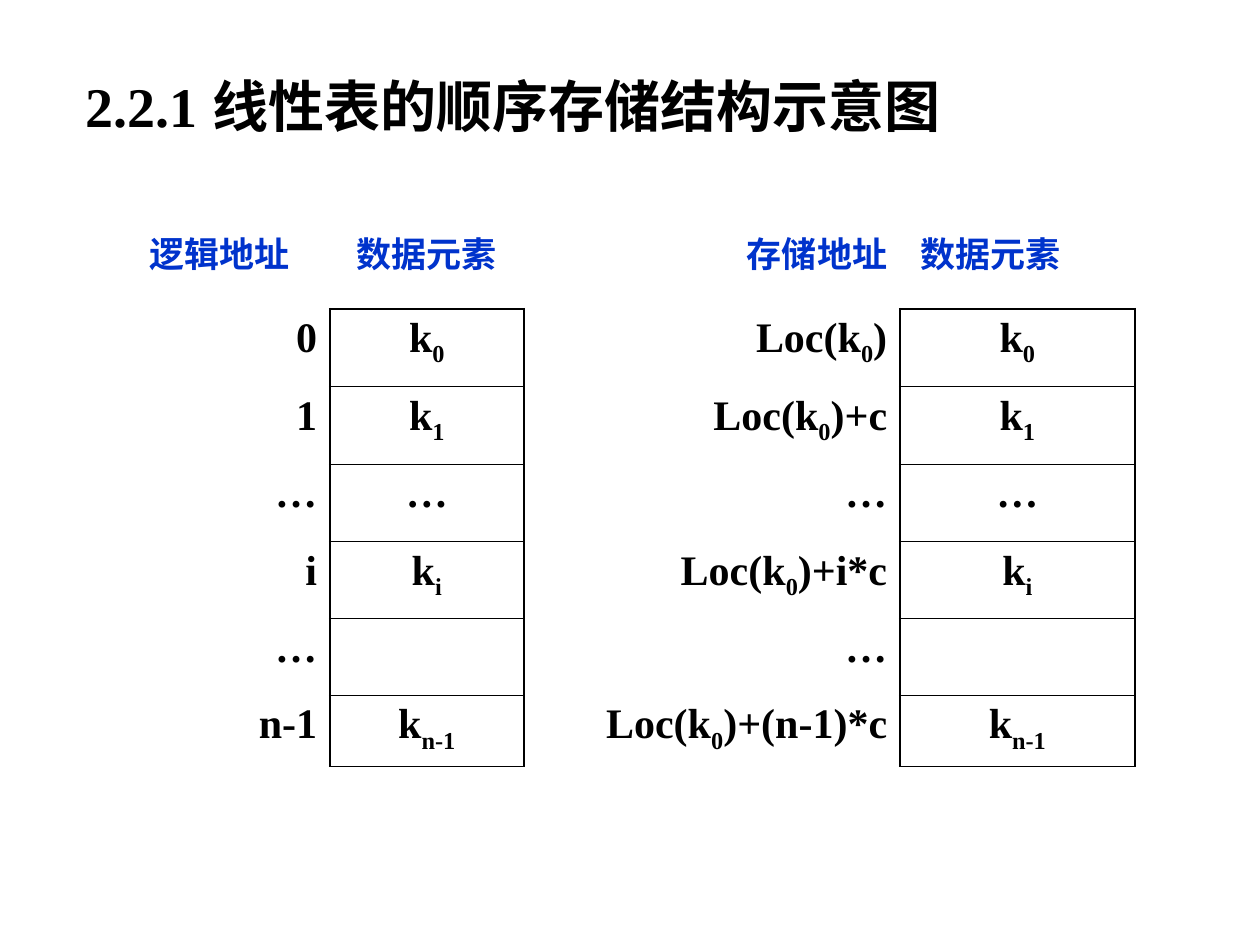
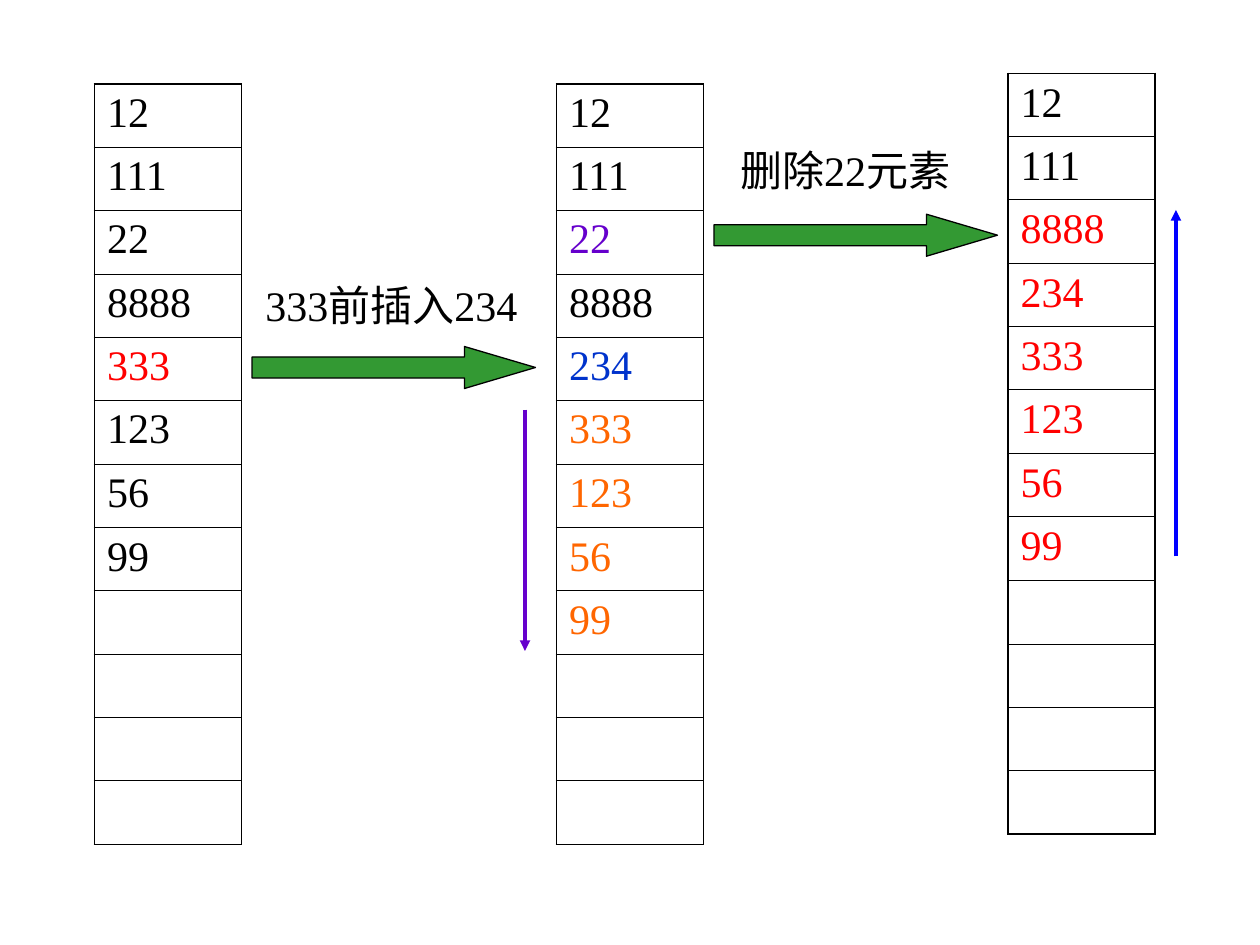
from dataclasses import dataclass
from lxml.etree import SubElement
from pptx import Presentation
from pptx.dml.color import RGBColor as Rgb
from pptx.enum.shapes import MSO_CONNECTOR as Link, MSO_SHAPE as Kind
from pptx.enum.text import MSO_ANCHOR as Anchor, PP_ALIGN as Align
from pptx.oxml.ns import qn
from pptx.util import Pt

SCALE = 7620  # EMU in one px, 120 px to the inch


@dataclass(frozen=True)
class Theme:
    latin: str = "Times New Roman"
    asian: str = "Noto Sans CJK SC"
    black: str = "000000"
    blue: str = "0033CC"
    red: str = "FF0000"
    orange: str = "FF6600"
    purple: str = "6600CC"
    bright: str = "0000FF"
    green: str = "339933"
    title: int = 32
    head: int = 20
    body: int = 24
    thick: float = 1.08
    thin: float = 0.45


THEME = Theme()


def emu(*sizes):
    return [size * SCALE for size in sizes]


def write(frame, text, size=THEME.body, color=THEME.black, bold=False,
          align=Align.LEFT, face=THEME.latin):
    """Fill a frame; the parts between underscores are subscripts."""
    para = frame.paragraphs[0]
    para.alignment = align
    for pos, part in enumerate(text.split("_")):
        if not part:
            continue
        run = para.add_run()
        run.text = part
        font = run.font
        font.size, font.bold, font.name = Pt(size), bold, face
        font.color.rgb = Rgb.from_string(color)
        props = run._r.get_or_add_rPr()
        SubElement(props, qn("a:ea"), typeface=THEME.asian)
        if pos % 2:
            props.set("baseline", "-25000")


def label(slide, box, text, **style):
    frame = slide.shapes.add_textbox(*emu(*box)).text_frame
    frame.word_wrap = True
    write(frame, text, **style)
    return frame


def border(cell, widths):
    props = cell._tc.get_or_add_tcPr()
    for side, width in zip("LRTB", widths):
        line = SubElement(props, qn(f"a:ln{side}"), w=str(Pt(width)))
        if width:
            fill = SubElement(line, qn("a:solidFill"))
            SubElement(fill, qn("a:srgbClr"), val=THEME.black)
        else:
            SubElement(line, qn("a:noFill"))
    cell.fill.background()


def grid(slide, left, top, cols, rows, boxed, first=0):
    """Add a table whose boxed columns are framed from row first down."""
    box = emu(left, top, sum(cols), sum(rows))
    table = slide.shapes.add_table(len(rows), len(cols), *box).table
    table.first_row = table.horz_banding = False
    for col, width in zip(table.columns, emu(*cols)):
        col.width = width
    for row, height in zip(table.rows, emu(*rows)):
        row.height = height

    def side(r, c, other):
        return THEME.thick if r >= first and boxed & {c, other} else 0

    def rule(edge, c):
        if c not in boxed or edge < first:
            return 0
        return THEME.thick if edge in (first, len(rows)) else THEME.thin

    for r in range(len(rows)):
        for c in range(len(cols)):
            border(table.cell(r, c), (side(r, c, c - 1), side(r, c, c + 1),
                                      rule(r, c), rule(r + 1, c)))
    return table


# Slide 1: logical and stored addresses
def store(slide, left, top):
    table = grid(slide, left, top, [184, 185, 37, 321, 224],
                 [84] + [74] * 3 + [73] * 2 + [68], {1, 4}, first=1)
    heads = {0: ("逻辑地址", Align.LEFT), 1: ("数据元素", Align.CENTER),
             3: ("存储地址", Align.RIGHT), 4: ("数据元素", Align.LEFT)}
    for c, (text, align) in heads.items():
        write(table.cell(0, c).text_frame, text, THEME.head, THEME.blue,
              True, align, THEME.asian)
    table.cell(0, 4).margin_left = 20 * SCALE

    marks = ["0", "1", "…", "i", "…", "n-1"]
    items = ["k_0", "k_1", "…", "k_i", "", "k_n-1"]
    places = ["", "+c", "…", "+i*c", "…", "+(n-1)*c"]
    for r, (mark, item, place) in enumerate(zip(marks, items, places), 1):
        spot = place if place == "…" else f"Loc(k_0_){place}"
        for c, text in {0: mark, 1: item, 3: spot, 4: item}.items():
            align = Align.CENTER if c in (1, 4) else Align.RIGHT
            write(table.cell(r, c).text_frame, text, bold=True, align=align)


def heading(slide, box, text):
    frame = label(slide, box, text, size=THEME.title, bold=True)
    frame.vertical_anchor = Anchor.MIDDLE


# Slide 2: inserting and deleting
def stack(slide, left, top, items):
    table = grid(slide, left, top, [140], [60, 60, 61] * 4, {0})
    for r, (text, color) in enumerate(items):
        write(table.cell(r, 0).text_frame, text, color=color)


def step(slide, left, top):
    arrow = slide.shapes.add_shape(Kind.RIGHT_ARROW, *emu(left, top, 270, 40))
    arrow.shadow.inherit = False
    arrow.adjustments[0], arrow.adjustments[1] = 0.5, 1.69
    arrow.fill.solid()
    arrow.fill.fore_color.rgb = Rgb.from_string(THEME.green)
    arrow.line.color.rgb = Rgb.from_string(THEME.black)
    arrow.line.width = Pt(0.75)


def shift(slide, x, start, end, color):
    link = slide.shapes.add_connector(Link.STRAIGHT, *emu(x, start, x, end))
    link.line.color.rgb = Rgb.from_string(color)
    link.line.width = Pt(2)
    SubElement(link.line._get_or_add_ln(), qn("a:tailEnd"), type="triangle")
    SubElement(link._element.spPr, qn("a:effectLst"))


def paint(text, color=THEME.black):
    return [(item, color) for item in text.split()]


def moves(slide):
    stack(slide, 90, 80, paint("12 111 22 8888") + paint("333", THEME.red)
          + paint("123 56 99"))
    stack(slide, 530, 80, paint("12 111") + paint("22", THEME.purple)
          + paint("8888") + paint("234", THEME.blue)
          + paint("333 123 56 99", THEME.orange))
    stack(slide, 960, 70, paint("12 111")
          + paint("8888 234 333 123 56 99", THEME.red))

    step(slide, 240, 330)
    label(slide, (241, 260, 300, 60), "333前插入234")
    step(slide, 680, 204)
    label(slide, (693, 132, 260, 60), "删除22元素")

    shift(slide, 500, 390, 620, THEME.purple)
    shift(slide, 1120, 530, 200, THEME.bright)


def main():
    deck = Presentation()
    deck.slide_width, deck.slide_height = emu(1200, 900)
    blank = deck.slide_layouts[6]

    slide = deck.slides.add_slide(blank)
    store(slide, 130, 210)
    heading(slide, (70, 60, 1020, 80), "2.2.1 线性表的顺序存储结构示意图")

    moves(deck.slides.add_slide(blank))
    deck.save("out.pptx")


if __name__ == "__main__":
    main()
